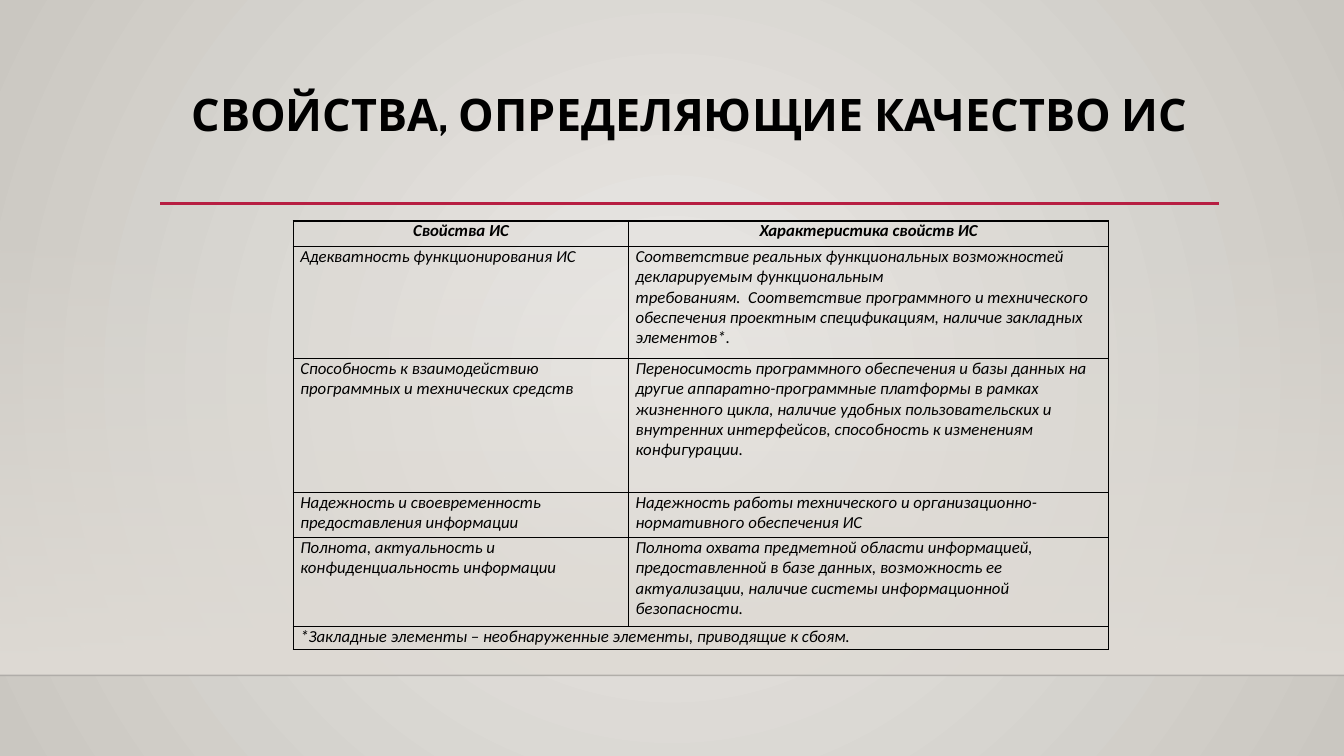
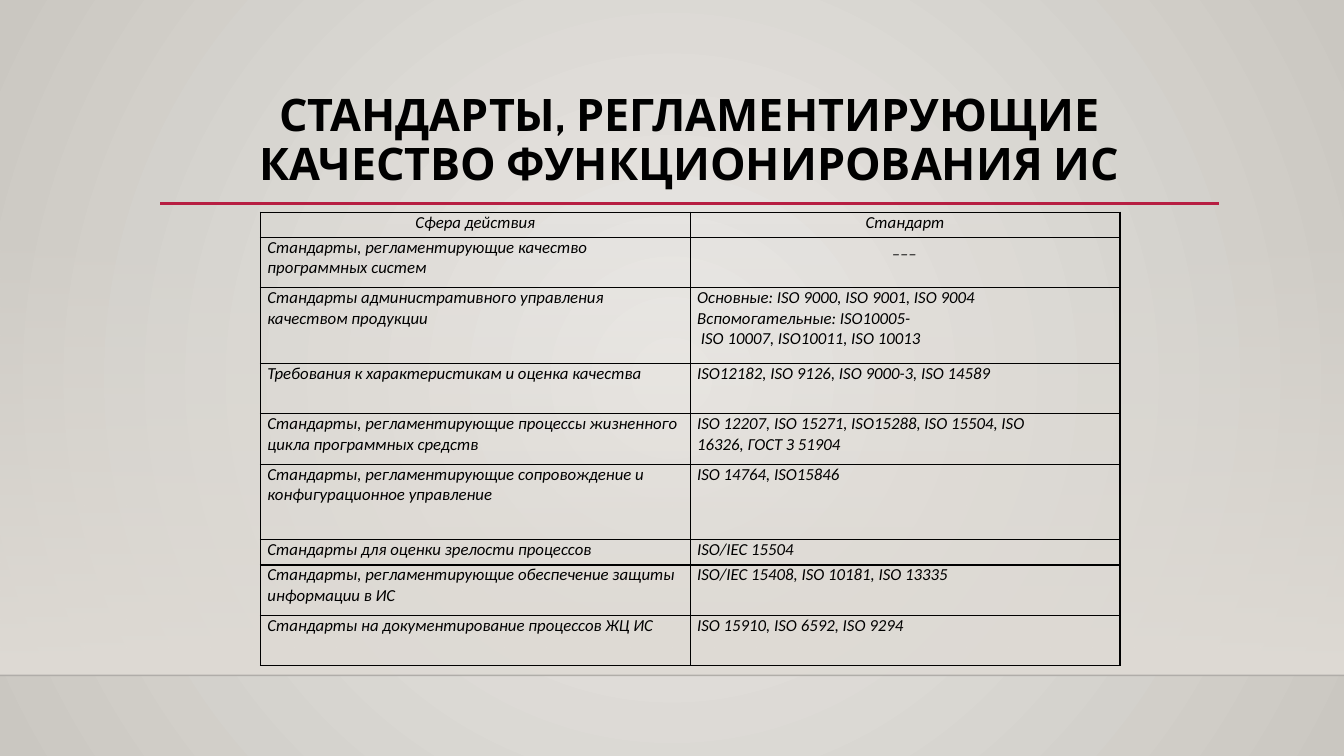
from dataclasses import dataclass

from lxml.etree import SubElement
from pptx import Presentation
from pptx.dml.color import RGBColor
from pptx.enum.shapes import MSO_CONNECTOR as CONN, MSO_SHAPE as SHAPE
from pptx.enum.text import MSO_ANCHOR as ANCHOR, MSO_AUTO_SIZE as AUTO, PP_ALIGN as ALIGN
from pptx.oxml.ns import qn
from pptx.util import Pt

COLORS = {
    "text": "000000",
    "border": "000000",
    "accent": "B71E42",
    "floor": "000001",
    "wall": "DFDBD5",
    "bg_center": "ECEAE7",
    "bg_edge": "CAC7C1",
}
TITLE_FONT, BODY_FONT = "Cabin", "Calibri"
SLIDE_W, SLIDE_H = 960, 540
DASHES = "___"


@dataclass(frozen=True)
class Stop:
    """One gradient stop; pos and alpha are percentages."""
    pos: int
    color: str
    alpha: int = 100


@dataclass(frozen=True)
class Rule:
    """A horizontal line shared by the slides."""
    left: float
    right: float
    y: float
    color: str
    width: float
    alpha: int = 100


@dataclass(frozen=True)
class TableSlide:
    """A title and a two-column table; a row with one text spans both columns."""
    title: str
    left: float
    top: float
    cols: tuple[float, ...]
    heights: tuple[float, ...]
    rows: tuple[tuple[str, ...], ...]
    bold_header: bool = False


RULES = (
    Rule(0, SLIDE_W, 482.4, "floor", 1, 20),
    Rule(114.5, 871, 145.5, "accent", 2.5),
)

SLIDES = (
    TableSlide(
        title="СВОЙСТВА, ОПРЕДЕЛЯЮЩИЕ КАЧЕСТВО ИС",
        left=209.5, top=157.8, cols=(239.5, 343),
        heights=(18, 80, 96, 32, 64, 16),
        bold_header=True,
        rows=(
            ("Свойства ИС", "Характеристика свойств ИС"),
            ("Адекватность функционирования ИС",
             "Соответствие реальных функциональных возможностей декларируемым "
             "функциональным требованиям.\u00a0\u00a0Соответствие программного и "
             "технического обеспечения проектным спецификациям, наличие закладных "
             "элементов*."),
            ("Способность к взаимодействию программных и технических средств",
             "Переносимость программного обеспечения и базы данных на другие "
             "аппаратно-программные платформы в рамках жизненного цикла, наличие "
             "удобных пользовательских и внутренних интерфейсов, способность к "
             "изменениям конфигурации."),
            ("Надежность и своевременность предоставления информации",
             "Надежность работы технического и организационно-нормативного "
             "обеспечения ИС"),
            ("Полнота, актуальность и конфиденциальность информации",
             "Полнота охвата предметной области информацией, предоставленной в базе "
             "данных, возможность ее актуализации, наличие системы информационной "
             "безопасности."),
            ("*Закладные элементы – необнаруженные элементы, приводящие к сбоям.",),
        ),
    ),
    TableSlide(
        title="СТАНДАРТЫ, РЕГЛАМЕНТИРУЮЩИЕ КАЧЕСТВО ФУНКЦИОНИРОВАНИЯ ИС",
        left=186, top=151.6, cols=(307, 307),
        heights=(18, 36, 54, 36, 36, 54, 18, 36, 36),
        rows=(
            ("Сфера действия", "Стандарт"),
            ("Стандарты, регламентирующие качество программных систем", DASHES),
            ("Стандарты административного управления качеством продукции",
             "Основные:\u00a0ISO\u00a09000,\u00a0ISO\u00a09001,\u00a0ISO\u00a09004\n"
             "Вспомогательные:\u00a0ISO10005-\u00a0ISO\u00a010007,\u00a0ISO10011,"
             "\u00a0ISO\u00a010013"),
            ("Требования к характеристикам и оценка качества",
             "ISO12182,\u00a0ISO\u00a09126,\u00a0ISO\u00a09000-3,\u00a0ISO\u00a014589"),
            ("Стандарты, регламентирующие процессы жизненного цикла программных средств",
             "ISO 12207, ISO 15271, ISO15288, ISO 15504, ISO 16326,"
             "\u00a0ГОСТ\u00a0З\u00a051904"),
            ("Стандарты, регламентирующие сопровождение и конфигурационное управление",
             "ISO\u00a014764,\u00a0ISO15846"),
            ("Стандарты для оценки зрелости процессов", "ISO/IEC\u00a015504"),
            ("Стандарты, регламентирующие обеспечение защиты информации в ИС",
             "ISO/IEC 15408, ISO 10181, ISO\u00a013335"),
            ("Стандарты на документирование процессов ЖЦ ИС",
             "ISO\u00a015910,\u00a0ISO\u00a06592,\u00a0ISO\u00a09294"),
        ),
    ),
)


def rgb(name: str) -> RGBColor:
    """Return a palette colour."""
    return RGBColor.from_string(COLORS[name])


def add_color(parent, name: str, alpha: int = 100) -> None:
    """Append a palette colour with opacity to an XML element."""
    clr = SubElement(parent, qn("a:srgbClr"), val=COLORS[name])
    if alpha < 100:
        SubElement(clr, qn("a:alpha"), val=str(alpha * 1000))


def set_gradient(owner, fill, stops: tuple[Stop, ...], circle: bool = False) -> None:
    """Give owner's fill a circular or a top-down gradient."""
    fill.gradient()
    grad = owner._element.xpath(".//a:gradFill")[0]
    for child in list(grad):
        grad.remove(child)
    stop_list = SubElement(grad, qn("a:gsLst"))
    for stop in stops:
        gs = SubElement(stop_list, qn("a:gs"), pos=str(stop.pos * 1000))
        add_color(gs, stop.color, stop.alpha)
    if circle:
        circle_el = SubElement(grad, qn("a:path"), path="circle")
        SubElement(circle_el, qn("a:fillToRect"), l="50000", t="50000", r="50000", b="50000")
    else:
        SubElement(grad, qn("a:lin"), ang="5400000", scaled="0")


def put_text(tf, text: str, *, font: str = BODY_FONT, size: float = 12,
             bold: bool = False, italic: bool = False, align=ALIGN.LEFT,
             spacing: float | None = None) -> None:
    """Fill a text frame, one paragraph for each line of text."""
    for i, line in enumerate(text.split("\n")):
        p = tf.add_paragraph() if i else tf.paragraphs[0]
        p.alignment = align
        p.line_spacing = spacing
        r = p.add_run()
        r.text = line
        r.font.name, r.font.size = font, Pt(size)
        r.font.bold, r.font.italic = bold, italic
        r.font.color.rgb = rgb("text")


def draw_rule(s, rule: Rule) -> None:
    """Draw one horizontal line."""
    sp = s.shapes.add_connector(CONN.STRAIGHT, Pt(rule.left), Pt(rule.y),
                                Pt(rule.right), Pt(rule.y))
    sp.line.width = Pt(rule.width)
    sp.line.fill.solid()
    fill = sp._element.spPr.find(qn("a:ln")).find(qn("a:solidFill"))
    add_color(fill, rule.color, rule.alpha)
    SubElement(sp._element.spPr, qn("a:effectLst"))


def draw_backdrop(s) -> None:
    """Draw the wall band and the shared lines."""
    sp = s.shapes.add_shape(SHAPE.RECTANGLE, 0, Pt(159), Pt(SLIDE_W), Pt(323.4))
    sp.shadow.inherit = False
    sp.line.fill.background()
    set_gradient(sp, sp.fill, (Stop(0, "wall", 0), Stop(100, "wall")))
    for rule in RULES:
        draw_rule(s, rule)


def draw_title(s, text: str) -> None:
    """Place and format the title placeholder."""
    sp = s.shapes.title
    sp.left, sp.top, sp.width, sp.height = Pt(114.5), Pt(63), Pt(756), Pt(82.8)
    tf = sp.text_frame
    tf.word_wrap = True
    tf.auto_size = AUTO.TEXT_TO_FIT_SHAPE
    tf.vertical_anchor = ANCHOR.TOP
    put_text(tf, text, font=TITLE_FONT, size=32, bold=True, align=ALIGN.CENTER, spacing=0.9)


def style_cell(cell) -> None:
    """Give a cell thin borders, no fill and its margins."""
    tc_pr = cell._tc.get_or_add_tcPr()
    for side in ("a:lnL", "a:lnR", "a:lnT", "a:lnB"):
        ln = SubElement(tc_pr, qn(side), w=str(Pt(1)))
        add_color(SubElement(ln, qn("a:solidFill")), "border")
    cell.fill.background()
    cell.margin_left = cell.margin_right = Pt(5)
    cell.margin_top = cell.margin_bottom = 0


def draw_table(s, data: TableSlide) -> None:
    """Draw the table of a slide."""
    table = s.shapes.add_table(len(data.rows), len(data.cols), Pt(data.left), Pt(data.top),
                               Pt(sum(data.cols)), Pt(sum(data.heights))).table
    table.first_row = table.horz_banding = False
    for column, width in zip(table.columns, data.cols):
        column.width = Pt(width)
    for i, (texts, height) in enumerate(zip(data.rows, data.heights)):
        table.rows[i].height = Pt(height)
        for j in range(len(data.cols)):
            style_cell(table.cell(i, j))
        if len(texts) < len(data.cols):
            table.cell(i, 0).merge(table.cell(i, len(data.cols) - 1))
        for j, text in enumerate(texts):
            centred = i == 0 or text == DASHES
            put_text(table.cell(i, j).text_frame, text, italic=True,
                     bold=data.bold_header and i == 0,
                     align=ALIGN.CENTER if centred else ALIGN.LEFT)


def main() -> None:
    """Build and save the presentation."""
    prs = Presentation()
    prs.slide_width, prs.slide_height = Pt(SLIDE_W), Pt(SLIDE_H)
    master = prs.slide_master
    set_gradient(master, master.background.fill,
                 (Stop(0, "bg_center"), Stop(100, "bg_edge")), circle=True)
    for data in SLIDES:
        s = prs.slides.add_slide(prs.slide_layouts[5])
        draw_backdrop(s)
        draw_title(s, data.title)
        draw_table(s, data)
    prs.save("out.pptx")


main()
